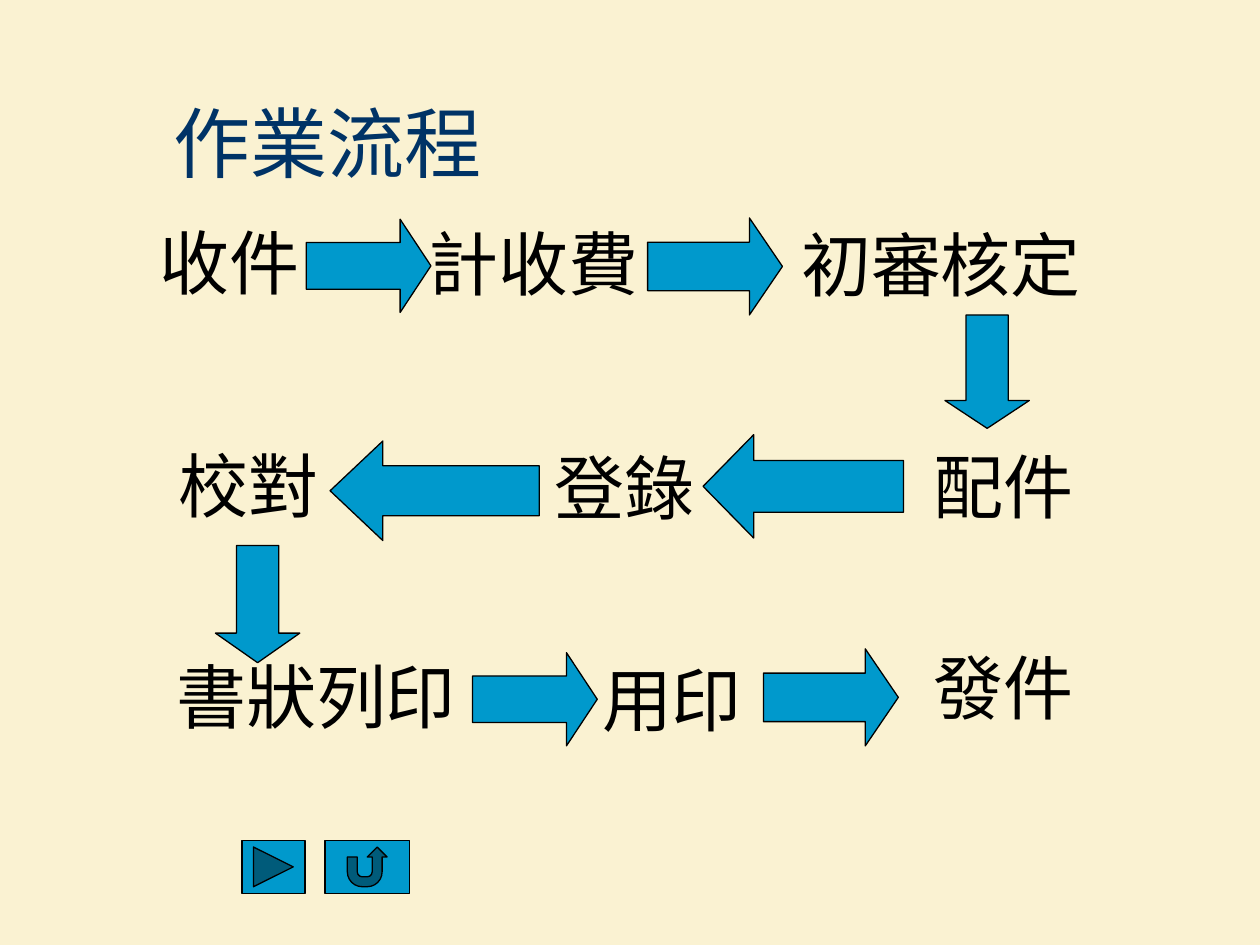
from pptx import Presentation
from pptx.dml.color import RGBColor
from pptx.enum.shapes import MSO_SHAPE
from pptx.enum.text import MSO_ANCHOR
from pptx.util import Inches, Pt

RIGHT, LEFT, DOWN = MSO_SHAPE.RIGHT_ARROW, MSO_SHAPE.LEFT_ARROW, MSO_SHAPE.DOWN_ARROW
NEXT, RETURN = MSO_SHAPE.ACTION_BUTTON_FORWARD_OR_NEXT, MSO_SHAPE.ACTION_BUTTON_RETURN
TOP, MIDDLE = MSO_ANCHOR.TOP, MSO_ANCHOR.MIDDLE

CREAM = RGBColor(0xFA, 0xF2, 0xD2)
NAVY = RGBColor(0x00, 0x33, 0x66)
BLUE = RGBColor(0x00, 0x99, 0xCC)
BLACK = RGBColor(0, 0, 0)

COLUMNS, ROWS = 100, 75
STEP_HEIGHT = 7.7

# text, column, row, columns wide
STEPS = [
    ("收件", 11.7, 16.9, 14.2),
    ("計收費", 33, 17, 20.8),
    ("初審核定", 62.6, 17.1, 27.5),
    ("配件", 73.1, 34.7, 16.2),
    ("登錄", 43, 34.8, 17.9),
    ("校對", 13.2, 34.6, 21.9),
    ("書狀列印", 13, 51.4, 24.4),
    ("用印", 46.8, 51.6, 21.9),
    ("發件", 73.1, 50.7, 21.9),
]

# kind, column, row, columns wide, rows high, head length
ARROWS = [
    (RIGHT, 24.3, 17.4, 9.9, 7.4, 0.33),
    (RIGHT, 51.4, 17.3, 10.7, 7.7, 0.34),
    (DOWN, 75, 25, 6.7, 9, 0.33),
    (LEFT, 55.8, 34.5, 15.9, 8.2, 0.49),
    (LEFT, 26.2, 35, 16.6, 7.9, 0.53),
    (DOWN, 17.1, 43.3, 6.7, 9.3, 0.35),
    (RIGHT, 37.5, 51.8, 9.9, 7.4, 0.33),
    (RIGHT, 60.6, 51.5, 10.7, 7.7, 0.34),
]

BUTTONS = [(NEXT, 19.2, 66.7, 5, 4.2), (RETURN, 25.8, 66.7, 6.7, 4.2)]


class FlowSlide:
    """Style and current slide; lengths are columns and rows of the grid."""

    font = "Times New Roman"

    def __init__(self, prs):
        self.column = prs.slide_width / COLUMNS
        self.row = prs.slide_height / ROWS
        self.s = prs.slides.add_slide(prs.slide_layouts[6])
        fill = self.s.background.fill
        fill.solid()
        fill.fore_color.rgb = CREAM

    def place(self, x, y, w, h):
        return (round(x * self.column), round(y * self.row),
                round(w * self.column), round(h * self.row))

    def text(self, text, x, y, w, h, size=40, color=BLACK, anchor=TOP):
        tf = self.s.shapes.add_textbox(*self.place(x, y, w, h)).text_frame
        tf.word_wrap = True
        tf.vertical_anchor = anchor
        tf.text = text
        font = tf.paragraphs[0].runs[0].font
        font.name, font.size = self.font, Pt(size)
        font.color.rgb = color

    def shape(self, kind, x, y, w, h):
        sp = self.s.shapes.add_shape(kind, *self.place(x, y, w, h))
        sp.shadow.inherit = False
        sp.fill.solid()
        sp.fill.fore_color.rgb = BLUE
        sp.line.color.rgb = BLACK
        sp.line.width = Pt(0.75)
        return sp

    def arrow(self, kind, x, y, w, h, head):
        sp = self.shape(kind, x, y, w, h)
        sp.adjustments[0] = 0.5
        sp.adjustments[1] = head


def main():
    prs = Presentation()
    prs.slide_width, prs.slide_height = Inches(10), Inches(7.5)
    slide = FlowSlide(prs)
    slide.text("作業流程", 12.8, 5, 85, 12.5, size=44, color=NAVY, anchor=MIDDLE)
    for step in STEPS:
        slide.text(*step, STEP_HEIGHT)
    for arrow in ARROWS:
        slide.arrow(*arrow)
    for button in BUTTONS:
        slide.shape(*button)
    prs.save("out.pptx")


if __name__ == "__main__":
    main()
